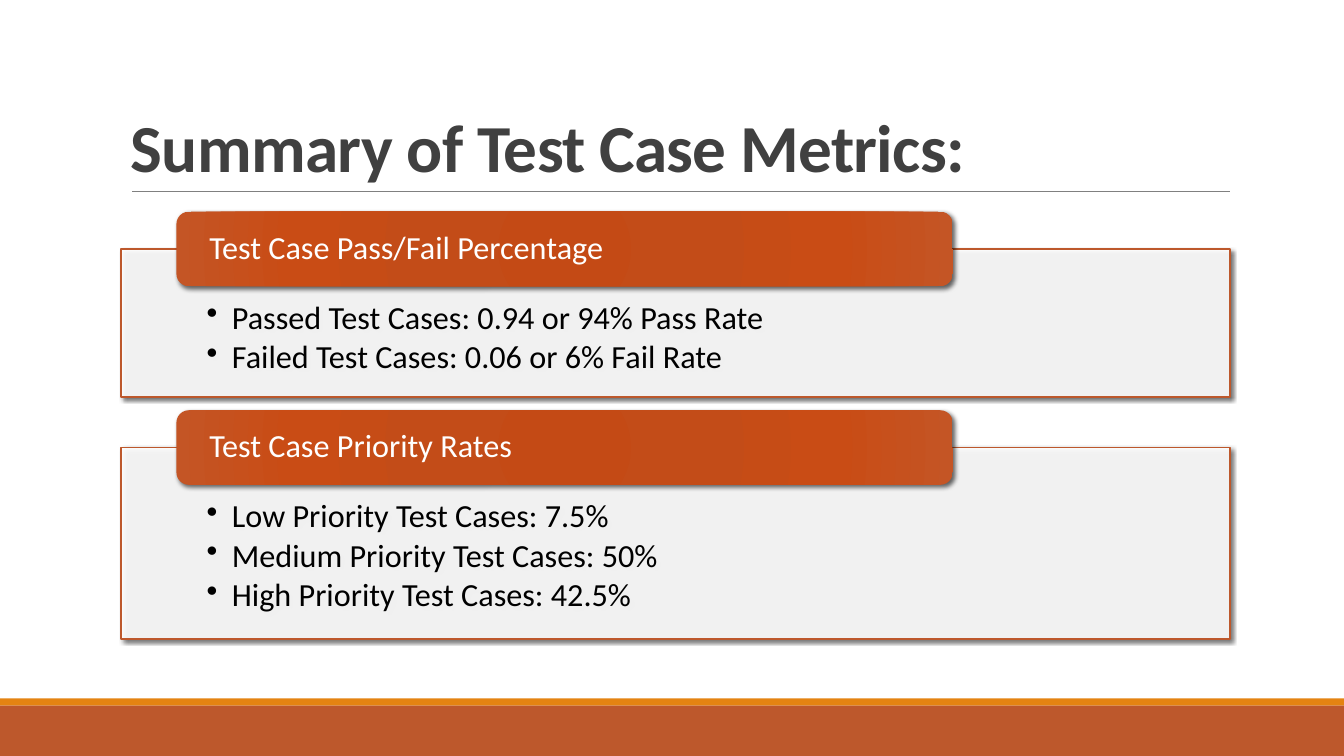
from dataclasses import dataclass

from pptx import Presentation
from pptx import util as u
from pptx.dml.color import RGBColor
from pptx.enum import shapes, text
from pptx.oxml import parse_xml
from pptx.oxml.ns import nsdecls, qn


@dataclass(frozen=True)
class Theme:
    font: str = "Calibri"
    title_size: int = 48
    body_size: int = 23
    title: str = "404040"
    body: str = "000000"
    light: str = "FFFFFF"
    rule: str = "808080"
    accent: str = "E48312"
    base: str = "BD582C"
    header_stops: tuple = ((0, "C44A15"), (34, "C34C18"), (70, "C94C15"), (100, "C45525"))


THEME = Theme()
WIDTH, HEIGHT = 13.33, 7.5
LEFT, CONTENT_WIDTH = 1.2, 11
HEADER_HEIGHT = 0.74
HEADER_OVERLAP = HEADER_HEIGHT / 2
SECTION_GAP = 0.13
SECTIONS = (
    ("Test Case Pass/Fail Percentage", 1.47,
     ("Passed Test Cases: 0.94 or 94% Pass Rate",
      "Failed Test Cases: 0.06 or 6% Fail Rate")),
    ("Test Case Priority Rates", 1.9,
     ("Low Priority Test Cases: 7.5%",
      "Medium Priority Test Cases: 50%",
      "High Priority Test Cases: 42.5%")),
)


def inches(*values):
    return [u.Inches(value) for value in values]


def write(box, lines, *, size, color, bold=False, spacing=0.9, after=0, tracking=0,
          bullet=False, insets=(0.1, 0.05, 0.1, 0.05), anchor=text.MSO_ANCHOR.TOP):
    frame = box.text_frame
    frame.word_wrap = True
    frame.vertical_anchor = anchor
    (frame.margin_left, frame.margin_top,
     frame.margin_right, frame.margin_bottom) = inches(*insets)
    for index, line in enumerate(lines):
        para = frame.add_paragraph() if index else frame.paragraphs[0]
        para.alignment = text.PP_ALIGN.LEFT
        para.line_spacing = spacing
        para.space_after = u.Pt(after)
        if bullet:
            properties = para._p.get_or_add_pPr()
            properties.set("marL", str(u.Inches(0.25)))
            properties.set("indent", str(u.Inches(-0.25)))
            properties.append(parse_xml(f'<a:buChar {nsdecls("a")} char="•"/>'))
        span = para.add_run()
        span.text = line
        span.font.name = THEME.font
        span.font.size = u.Pt(size)
        span.font.bold = bold
        span.font.color.rgb = RGBColor.from_string(color)
        if tracking:
            span._r.get_or_add_rPr().set("spc", str(round(tracking * 100)))


def add_block(page, kind, box, fill, line=None):
    shape = page.shapes.add_shape(kind, *inches(*box))
    shape.shadow.inherit = False
    shape.fill.solid()
    shape.fill.fore_color.rgb = RGBColor.from_string(fill)
    if line:
        shape.line.color.rgb = RGBColor.from_string(line)
        shape.line.width = u.Pt(1)
    else:
        shape.line.fill.background()
    return shape


def cast_shadow(shape, blur):
    effects = shape._element.spPr.find(qn("a:effectLst"))
    effects.append(parse_xml(
        f'<a:outerShdw {nsdecls("a")} blurRad="{u.Pt(blur)}" dist="{u.Pt(2)}" '
        f'dir="{45 * 60000}" algn="ctr" rotWithShape="0">'
        '<a:srgbClr val="000000"><a:alpha val="60000"/></a:srgbClr></a:outerShdw>'))


def make_translucent(shape, percent):
    color = shape._element.spPr.find(qn("a:solidFill"))[0]
    color.append(parse_xml(f'<a:alpha {nsdecls("a")} val="{percent * 1000}"/>'))


def fill_radially(shape, stops):
    properties = shape._element.spPr
    marks = "".join(f'<a:gs pos="{place * 1000}"><a:srgbClr val="{color}"/></a:gs>'
                    for place, color in stops)
    properties.replace(properties.find(qn("a:solidFill")), parse_xml(
        f'<a:gradFill {nsdecls("a")} rotWithShape="1"><a:gsLst>{marks}</a:gsLst>'
        '<a:path path="circle"><a:fillToRect l="100000" t="100000" r="100000" b="100000"/>'
        '</a:path></a:gradFill>'))


def add_title(page, box, title):
    """Place the title at the foot of its box, with a rule below it."""
    left, top, width, height = box
    write(page.shapes.add_textbox(*inches(*box)), [title], size=THEME.title_size,
          color=THEME.title, bold=True, spacing=0.85, tracking=-0.5,
          anchor=text.MSO_ANCHOR.BOTTOM)
    bottom = top + height
    rule = page.shapes.add_connector(
        shapes.MSO_CONNECTOR.STRAIGHT, *inches(left + 0.11, bottom, left + width, bottom))
    rule.line.color.rgb = RGBColor.from_string(THEME.rule)
    rule.line.width = u.Pt(0.5)
    rule._element.spPr.append(parse_xml(f'<a:effectLst {nsdecls("a")}/>'))


def add_footer(page, box):
    left, top, width, height = box
    stripe = 0.07
    rectangle = shapes.MSO_SHAPE.RECTANGLE
    add_block(page, rectangle, (left, top, width, stripe), THEME.accent)
    add_block(page, rectangle, (left, top + stripe, width, height - stripe), THEME.base)


def add_section(page, box, heading, points):
    """Draw a bulleted panel whose heading straddles its top edge."""
    left, top, width, height = box
    panel = add_block(page, shapes.MSO_SHAPE.RECTANGLE, box, THEME.light, THEME.base)
    make_translucent(panel, 90)
    cast_shadow(panel, 3)
    write(panel, points, size=THEME.body_size, color=THEME.body, after=3.45,
          bullet=True, insets=(0.85, 0.52, 0.85, 0.18))
    header = add_block(
        page, shapes.MSO_SHAPE.ROUNDED_RECTANGLE,
        (left + width * 0.05, top - HEADER_OVERLAP, width * 0.7, HEADER_HEIGHT), THEME.base)
    fill_radially(header, THEME.header_stops)
    cast_shadow(header, 3.5)
    write(header, [heading], size=THEME.body_size, color=THEME.light,
          insets=(0.29, 0, 0.29, 0), anchor=text.MSO_ANCHOR.MIDDLE)


def main():
    deck = Presentation()
    deck.slide_width, deck.slide_height = inches(WIDTH, HEIGHT)
    page = deck.slides.add_slide(deck.slide_layouts[6])
    add_title(page, (LEFT, 0.31, CONTENT_WIDTH, 1.59), "Summary of Test Case Metrics:")
    add_footer(page, (0, 6.93, WIDTH, HEIGHT - 6.93))
    top = 2.47
    for heading, height, points in SECTIONS:
        add_section(page, (LEFT, top, CONTENT_WIDTH, height), heading, points)
        top += height + SECTION_GAP + HEADER_OVERLAP
    deck.save("out.pptx")


if __name__ == "__main__":
    main()
